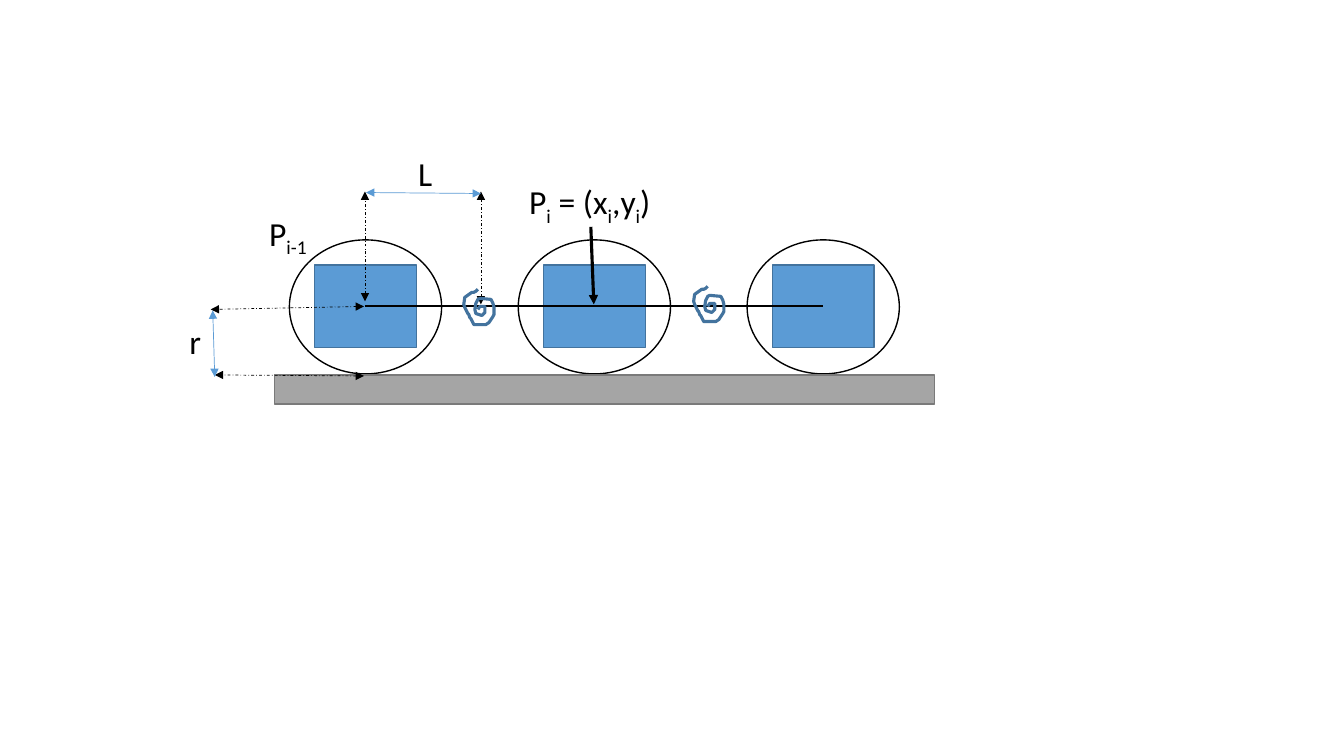
from dataclasses import dataclass

from lxml.etree import SubElement
from pptx import Presentation
from pptx.dml.color import RGBColor
from pptx.enum.dml import MSO_LINE
from pptx.enum.shapes import MSO_CONNECTOR, MSO_SHAPE
from pptx.enum.text import MSO_AUTO_SIZE
from pptx.oxml.ns import qn
from pptx.shapes.autoshape import Shape
from pptx.shapes.shapetree import SlideShapes
from pptx.util import Emu, Pt

PX = 9144
COLORS = {
    "black": "000000",
    "blue": "5B9BD5",
    "blue_edge": "43739E",
    "gray": "A5A5A5",
    "gray_edge": "7A7A7A",
}
WHEEL_CENTERS = [362 + 227 * i for i in range(3)]
AXLE_Y = 304
SPIRAL = [
    (14, 20), (16, 17), (21, 17), (21, 19), (21, 23), (18, 26), (12, 24), (11, 20),
    (12, 14), (14, 10), (16, 9), (27, 10), (29, 14), (30, 18), (30, 25), (29, 27),
    (25, 33), (22, 35), (21, 35), (10, 35), (7, 29), (6, 28), (5, 25), (4, 24),
    (1, 18), (0, 15), (1, 8), (8, 3), (10, 3), (12, 2), (14, 0),
]


@dataclass(frozen=True)
class Line:
    start: tuple[int, int]
    end: tuple[int, int]
    color: str = "black"
    width: float = 0.5
    dashed: bool = False
    head: bool = True
    tail: bool = True


@dataclass(frozen=True)
class Label:
    left: int
    top: int
    wording: tuple[str, ...]


AXLES = [
    Line((a, AXLE_Y), (b, AXLE_Y), width=1.5, head=False, tail=False)
    for a, b in zip(WHEEL_CENTERS, WHEEL_CENTERS[1:])
]
POINTER = Line((586, 225), (589, 302), width=2.25, head=False)
LENGTH_LINES = [
    Line((477, 302), (477, 190), dashed=True),
    Line((362, 299), (362, 190), dashed=True),
    Line((363, 191), (477, 192), "blue"),
]
RADIUS_LINES = [
    Line((361, 373), (213, 372), dashed=True),
    Line((361, 304), (209, 307), dashed=True),
    Line((211, 308), (213, 374), "blue"),
]
LABELS = [
    Label(515, 175, ("P", "i", " = (x", "i", ",y", "i", ")")),
    Label(257, 206, ("P", "i-1")),
    Label(405, 147, ("L",)),
    Label(178, 313, ("r",)),
]


def px(length: int) -> Emu:
    return Emu(length * PX)


def rgb(name: str) -> RGBColor:
    return RGBColor.from_string(COLORS[name])


def style(shape: Shape, edge: str, width: float, fill: str | None = None) -> None:
    shape.shadow.inherit = False
    if fill:
        shape.fill.solid()
        shape.fill.fore_color.rgb = rgb(fill)
    else:
        shape.fill.background()
    shape.line.color.rgb = rgb(edge)
    shape.line.width = Pt(width)


def draw_wheel(shapes: SlideShapes, center: int) -> None:
    body = shapes.add_shape(MSO_SHAPE.RECTANGLE, px(center - 50), px(263), px(101), px(82))
    style(body, "blue_edge", 1, "blue")
    rim = shapes.add_shape(MSO_SHAPE.OVAL, px(center - 75), px(238), px(151), px(133))
    style(rim, "black", 1)


def draw_line(shapes: SlideShapes, line: Line) -> None:
    connector = shapes.add_connector(
        MSO_CONNECTOR.STRAIGHT, *map(px, line.start), *map(px, line.end)
    )
    connector.line.color.rgb = rgb(line.color)
    connector.line.width = Pt(line.width)
    if line.dashed:
        connector.line.dash_style = MSO_LINE.DASH_DOT
    properties = connector._element.spPr
    stroke = properties.find(qn("a:ln"))
    for tag, shown in (("a:headEnd", line.head), ("a:tailEnd", line.tail)):
        if shown:
            SubElement(stroke, qn(tag), type="triangle")
    SubElement(properties, qn("a:effectLst"))


def draw_label(shapes: SlideShapes, label: Label) -> None:
    frame = shapes.add_textbox(px(label.left), px(label.top), px(144), px(50)).text_frame
    frame.word_wrap = True
    frame.auto_size = MSO_AUTO_SIZE.SHAPE_TO_FIT_TEXT
    paragraph = frame.paragraphs[0]
    paragraph.font.name = "Calibri"
    paragraph.font.size = Pt(24)
    paragraph.font.color.rgb = rgb("black")
    for index, words in enumerate(label.wording):
        run = paragraph.add_run()
        run.text = words
        if index % 2:
            run._r.get_or_add_rPr().set("baseline", "-25000")


def draw_spring(shapes: SlideShapes, left: int, top: int) -> None:
    points = [(left + x, top + y) for x, y in SPIRAL]
    builder = shapes.build_freeform(*points[0], scale=PX)
    builder.add_line_segments(points[1:], close=False)
    style(builder.convert_to_shape(), "blue_edge", 2.25)


def main() -> None:
    presentation = Presentation()
    presentation.slide_width = px(1333)
    presentation.slide_height = px(750)
    shapes = presentation.slides.add_slide(presentation.slide_layouts[6]).shapes
    for center in WHEEL_CENTERS:
        draw_wheel(shapes, center)
    for line in [*AXLES, POINTER, *LENGTH_LINES]:
        draw_line(shapes, line)
    ground = shapes.add_shape(MSO_SHAPE.RECTANGLE, px(272), px(372), px(655), px(29))
    style(ground, "gray_edge", 1, "gray")
    draw_spring(shapes, 688, 284)
    draw_spring(shapes, 460, 287)
    for line in RADIUS_LINES:
        draw_line(shapes, line)
    for label in LABELS:
        draw_label(shapes, label)
    presentation.save("out.pptx")


if __name__ == "__main__":
    main()
